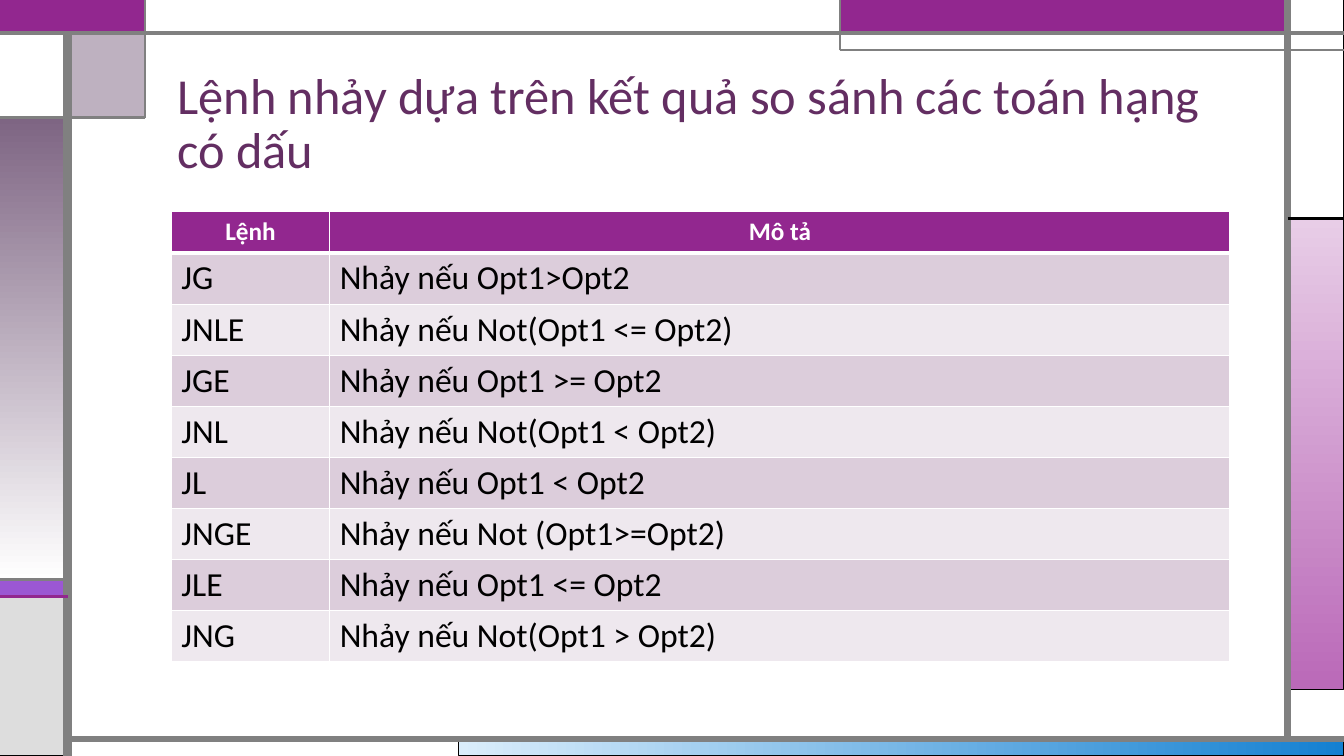
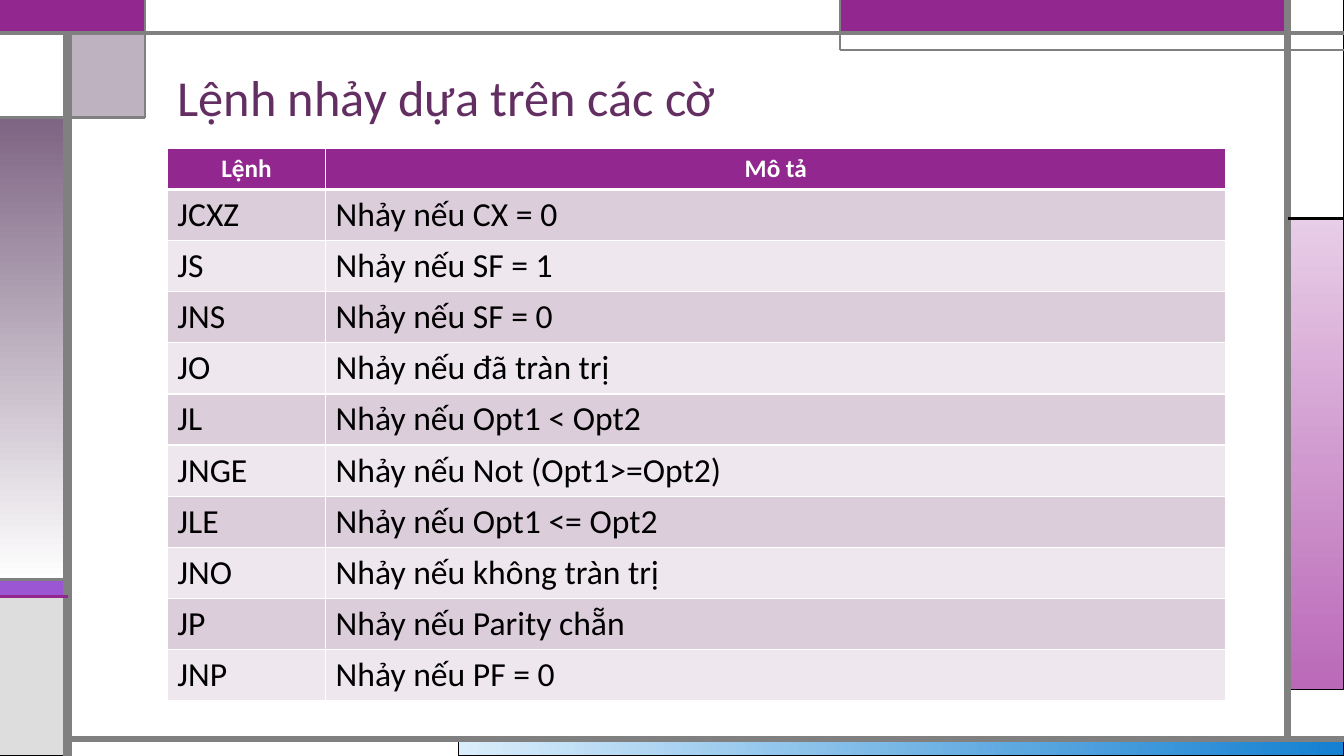
from lxml import etree
from pptx import Presentation
from pptx.dml.color import RGBColor
from pptx.enum.shapes import MSO_CONNECTOR, MSO_SHAPE
from pptx.enum.text import MSO_ANCHOR, MSO_AUTO_SIZE, PP_ALIGN
from pptx.oxml.ns import qn
from pptx.util import Inches, Pt

RECT = MSO_SHAPE.RECTANGLE
STRAIGHT = MSO_CONNECTOR.STRAIGHT
BOTTOM = MSO_ANCHOR.BOTTOM
NO_FIT = MSO_AUTO_SIZE.NONE
LEFT, CENTER = PP_ALIGN.LEFT, PP_ALIGN.CENTER

C = {
    "white": "FFFFFF", "black": "000000", "gray": "808080", "light": "DDDDDD",
    "purple": "92278F", "violet": "9B57D3", "indigo": "755DD9", "mauve": "7E6583",
    "sky": "DAEDFB", "blue": "1480D1", "pink": "E8CDE7", "orchid": "BA69B8",
    "title": "632E62", "odd": "DCCDDB", "even": "EEE8EE",
}
FONT = "Calibri"


def rgb(name):
    return RGBColor.from_string(C[name])


def format_text(p, text, align, **font):
    p.alignment = align
    r = p.add_run()
    r.text = text
    color = font.pop("color")
    r.font.name = FONT
    r.font.color.rgb = rgb(color)
    for key, value in font.items():
        setattr(r.font, key, value)


W, H = 13.33, 7.5
SIDE, RIGHT, TOP, FOOT = 0.67, 12.77, 0.33, 7.33
TAB, STEP, MID = 1.44, 1.17, 8.33

panels = [
    (4.55, FOOT, W, H, ("sky", "blue", 0), "black", 0.75),
    (RIGHT, 2.17, W, 6.84, ("pink", "orchid", 90), "black", 0.75),
    (0, 5.75, SIDE, 5.92, "violet", "black", 0.75),
    (0, 5.92, SIDE, H, "light", "black", 0.75),
    (RIGHT, 0, W, 2.17, "white", "black", 0.75),
    (MID, 0, RIGHT, TOP, "purple", "indigo", 0.75),
    (SIDE, TOP, TAB, STEP, "mauve", "black", 0.75),
    (0, STEP, SIDE, 5.75, ("mauve", "white", 90), "black", 0.75),
    (0, TOP, SIDE, STEP, "white", "black", 0.75),
    (0, 0, TAB, TOP, "purple", "purple", 1.5),
    (TAB, 0, MID, TOP, "white", "gray", 0.75),
]
rules = [
    (SIDE, H, SIDE, TOP, "gray", 6),
    (SIDE, FOOT, W, FOOT, "gray", 4.5),
    (RIGHT, FOOT, RIGHT, 0, "gray", 4.5),
    (0, TOP, W, TOP, "gray", 3),
    (W, 0.5, MID, 0.5, "gray", 1.5),
    (MID, 0.5, MID, 0, "gray", 1.5),
    (RIGHT, 2.17, W, 2.17, "black", 2.25),
    (TAB, 0, TAB, STEP, "gray", 1.5),
    (TAB, STEP, 0, STEP, "gray", 2.25),
    (SIDE, 5.75, 0, 5.75, "gray", 2.25),
    (SIDE, 5.92, 0, 5.92, "purple", 2.25),
]
pages = [
    {
        "title": "Lệnh nhảy dựa trên kết quả so sánh các toán hạng có dấu",
        "title_height": 1.25,
        "table_at": (1.7, 2.1),
        "rows": [
            ("JG", "Nhảy nếu Opt1>Opt2"),
            ("JNLE", "Nhảy nếu Not(Opt1 <= Opt2)"),
            ("JGE", "Nhảy nếu Opt1 >= Opt2"),
            ("JNL", "Nhảy nếu Not(Opt1 < Opt2)"),
            ("JL", "Nhảy nếu Opt1 < Opt2"),
            ("JNGE", "Nhảy nếu Not (Opt1>=Opt2)"),
            ("JLE", "Nhảy nếu Opt1 <= Opt2"),
            ("JNG", "Nhảy nếu Not(Opt1 > Opt2)"),
        ],
    },
    {
        "title": "Lệnh nhảy dựa trên các cờ",
        "title_height": 0.73,
        "table_at": (1.66, 1.47),
        "rows": [
            ("JCXZ", "Nhảy nếu CX = 0"),
            ("JS", "Nhảy nếu SF = 1"),
            ("JNS", "Nhảy nếu SF = 0"),
            ("JO", "Nhảy nếu đã tràn trị"),
            ("JL", "Nhảy nếu Opt1 < Opt2"),
            ("JNGE", "Nhảy nếu Not (Opt1>=Opt2)"),
            ("JLE", "Nhảy nếu Opt1 <= Opt2"),
            ("JNO", "Nhảy nếu không tràn trị"),
            ("JP", "Nhảy nếu Parity chẵn"),
            ("JNP", "Nhảy nếu PF = 0"),
        ],
    },
]

prs = Presentation()
prs.slide_width, prs.slide_height = Inches(W), Inches(H)
layout = prs.slide_layouts[5]
slides = [prs.slides.add_slide(layout) for page in pages]

frame = []
shapes = slides[0].shapes
for x1, y1, x2, y2, fill, line, width in panels:
    sp = shapes.add_shape(RECT, Inches(x1), Inches(y1), Inches(x2 - x1), Inches(y2 - y1))
    sp.shadow.inherit = False
    if isinstance(fill, tuple):
        start, end, angle = fill
        sp.fill.gradient()
        sp.fill.gradient_angle = -angle % 360
        for stop, name in zip(sp.fill.gradient_stops, (start, end)):
            stop.color.rgb = rgb(name)
    else:
        sp.fill.solid()
        sp.fill.fore_color.rgb = rgb(fill)
    if fill == "mauve":
        color = sp.element.spPr.find(qn("a:solidFill"))[0]
        etree.SubElement(color, qn("a:alpha"), val="50000")
    sp.line.color.rgb = rgb(line)
    sp.line.width = Pt(width)
    frame.append(sp)
for x1, y1, x2, y2, line, width in rules:
    sp = shapes.add_connector(STRAIGHT, Inches(x1), Inches(y1), Inches(x2), Inches(y2))
    sp.line.color.rgb = rgb(line)
    sp.line.width = Pt(width)
    etree.SubElement(sp.element.spPr, qn("a:effectLst"))
    frame.append(sp)

master_tree = prs.slide_master.shapes.element
for i, sp in enumerate(frame):
    sp.element.xpath(".//p:cNvPr")[0].set("id", str(100 + i))
    master_tree.insert(2 + i, sp.element)

for s, page in zip(slides, pages):
    title = s.shapes.title
    title.left, title.top = Inches(1.66), Inches(0.58)
    title.width, title.height = Inches(10.5), Inches(page["title_height"])
    tf = title.text_frame
    for key, value in {"word_wrap": True, "auto_size": NO_FIT, "vertical_anchor": BOTTOM}.items():
        setattr(tf, key, value)
    p = tf.paragraphs[0]
    p.line_spacing = 0.9
    format_text(p, page["title"], LEFT, size=Pt(36), color="title")

    rows = [("Lệnh", "Mô tả")] + page["rows"]
    x, y = page["table_at"]
    height = 0.41 + 0.5 * len(page["rows"])
    table = s.shapes.add_table(
        len(rows), 2, Inches(x), Inches(y), Inches(10.5), Inches(height)).table
    for column, width in zip(table.columns, (1.57, 8.93)):
        column.width = Inches(width)
    for i, texts in enumerate(rows):
        table.rows[i].height = Inches(0.5 if i else 0.41)
        if i == 0:
            fill, align = "purple", CENTER
            font = {"size": Pt(18), "bold": True, "color": "white"}
        else:
            fill, align = ("odd" if i % 2 else "even"), LEFT
            font = {"size": Pt(24), "bold": False, "color": "black"}
        borders = {"L": 1, "R": 1, "T": 3 if i == 1 else 1, "B": 1 if i else 3}
        for j, text in enumerate(texts):
            cell = table.cell(i, j)
            tcPr = cell._tc.get_or_add_tcPr()
            for edge, width in borders.items():
                ln = etree.SubElement(tcPr, qn("a:ln" + edge), w=str(Pt(width)))
                solid = etree.SubElement(ln, qn("a:solidFill"))
                etree.SubElement(solid, qn("a:srgbClr"), val=C["white"])
            cell.fill.solid()
            cell.fill.fore_color.rgb = rgb(fill)
            format_text(cell.text_frame.paragraphs[0], text, align, **font)

prs.save("out.pptx")
